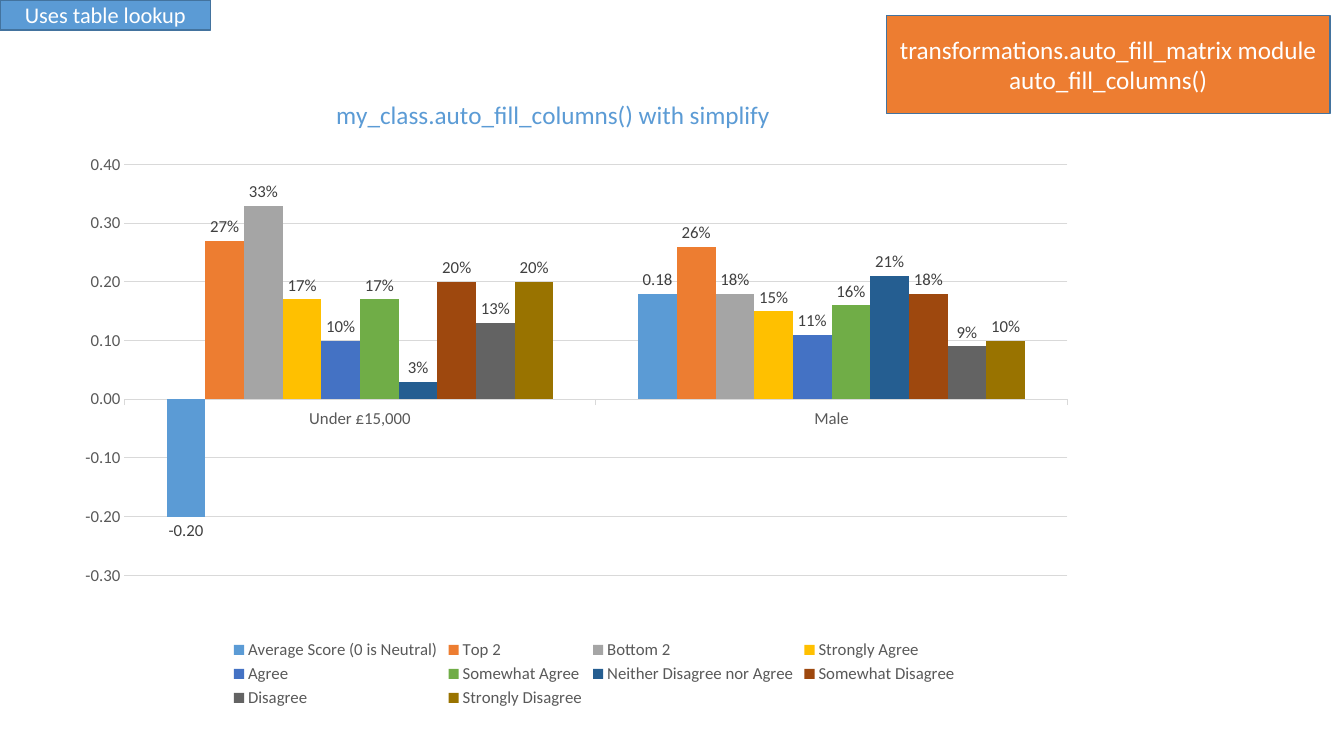
from dataclasses import dataclass

from lxml import etree
from pptx import Presentation
from pptx.chart.data import CategoryChartData
from pptx.dml.color import RGBColor
from pptx.enum.chart import (XL_AXIS_CROSSES, XL_CHART_TYPE, XL_LABEL_POSITION,
                             XL_LEGEND_POSITION, XL_TICK_MARK)
from pptx.enum.shapes import MSO_SHAPE
from pptx.enum.text import MSO_ANCHOR, PP_ALIGN
from pptx.oxml.ns import qn
from pptx.util import Pt

COLUMN = XL_CHART_TYPE.COLUMN_CLUSTERED
BOTTOM = XL_LEGEND_POSITION.BOTTOM
OUTSIDE = XL_LABEL_POSITION.OUTSIDE_END
RIGHT = XL_AXIS_CROSSES.MAXIMUM
NONE, OUT = XL_TICK_MARK.NONE, XL_TICK_MARK.OUTSIDE
RECT = MSO_SHAPE.RECTANGLE
CENTER, MIDDLE = PP_ALIGN.CENTER, MSO_ANCHOR.MIDDLE


@dataclass(frozen=True)
class Theme:
    """Colours, font and type sizes of the slide."""
    font: str = "Calibri"
    blue: str = "5B9BD5"
    orange: str = "ED7D31"
    edge: str = "43739E"
    white: str = "FFFFFF"
    grid: str = "D9D9D9"
    text: str = "595959"
    label: str = "404040"
    small: int = 12
    tag: int = 16
    large: int = 18


THEME = Theme()
GROUPS = ["Under £15,000", "Male"]
SCORES = [
    ("Average Score (0 is Neutral)", (-0.20, 0.18), "0.00", THEME.blue),
    ("Top 2", (0.27, 0.26), "0%", THEME.orange),
    ("Bottom 2", (0.33, 0.18), "0%", "A5A5A5"),
    ("Strongly Agree", (0.17, 0.15), "0%", "FFC000"),
    ("Agree", (0.10, 0.11), "0%", "4472C4"),
    ("Somewhat Agree", (0.17, 0.16), "0%", "70AD47"),
    ("Neither Disagree nor Agree", (0.03, 0.21), "0%", "255E91"),
    ("Somewhat Disagree", (0.20, 0.18), "0%", "9E480E"),
    ("Disagree", (0.13, 0.09), "0%", "636363"),
    ("Strongly Disagree", (0.20, 0.10), "0%", "997300"),
]


def style(font, size, color):
    """Set the face, size and colour of a font."""
    font.name, font.size, font.bold = THEME.font, Pt(size), False
    font.color.rgb = RGBColor.from_string(color)


def rule(line, color, width):
    """Set the colour and width of a line."""
    line.color.rgb = RGBColor.from_string(color)
    line.width = Pt(width)


def add_box(slide, text, box, fill, size):
    """Add a filled box with centred text."""
    shape = slide.shapes.add_shape(RECT, *map(Pt, box))
    shape.shadow.inherit = False
    shape.fill.solid()
    shape.fill.fore_color.rgb = RGBColor.from_string(fill)
    rule(shape.line, THEME.edge, 1)
    frame = shape.text_frame
    frame.text, frame.word_wrap = text, True
    frame.vertical_anchor = MIDDLE
    for para in frame.paragraphs:
        para.alignment = CENTER
        style(para.font, size, THEME.white)


def place(parent, **spots):
    """Give a chart part a manual layout in chart fractions."""
    layout = parent.find(qn("c:layout"))
    if layout is None:
        layout = etree.Element(qn("c:layout"))
        text = parent.find(qn("c:tx"))
        parent.insert(0 if text is None else parent.index(text) + 1, layout)
    manual = etree.SubElement(layout, qn("c:manualLayout"))
    for tag, value in spots.items():
        etree.SubElement(manual, qn(f"c:{tag}")).set("val", str(value))


def add_title(chart, text):
    """Add the chart title."""
    chart.has_title = True
    title = chart.chart_title
    title.include_in_layout = False
    title.text_frame.text = text
    style(title.text_frame.paragraphs[0].runs[0].font, THEME.large, THEME.blue)
    place(title._element, xMode="edge", yMode="edge", x=0.25, y=0.02)


def set_axes(chart):
    """Format the two axes, with the values on the right."""
    groups, values = chart.category_axis, chart.value_axis
    for axis in (groups, values):
        style(axis.tick_labels.font, THEME.small, THEME.text)
    groups.crosses = RIGHT
    groups.major_tick_mark = OUT
    rule(groups.format.line, THEME.grid, 0.75)
    values.minimum_scale, values.maximum_scale = -0.3, 0.4
    values.major_unit = 0.1
    values.major_tick_mark = NONE
    values.format.line.fill.background()
    values.tick_labels.number_format = "0.00"
    values.tick_labels.number_format_is_linked = False
    rule(values.major_gridlines.format.line, THEME.grid, 0.75)


def set_bars(plot):
    """Colour and label each series."""
    plot.gap_width, plot.overlap = 219, 0
    plot.vary_by_categories = False
    for bars, (_, _, form, color) in zip(plot.series, SCORES):
        bars.invert_if_negative = False
        bars.format.fill.solid()
        bars.format.fill.fore_color.rgb = RGBColor.from_string(color)
        labels = bars.data_labels
        labels.show_value = True
        labels.position = OUTSIDE
        labels.number_format = form
        labels.number_format_is_linked = False
        style(labels.font, THEME.small, THEME.label)


def add_scores(slide):
    """Add the column chart of scores."""
    data = CategoryChartData()
    data.categories = GROUPS
    for name, values, form, _ in SCORES:
        data.add_series(name, values, form)
    box = map(Pt, (49, 57, 751, 451.5))
    chart = slide.shapes.add_chart(COLUMN, *box, data).chart
    style(chart.font, THEME.small, THEME.text)
    add_title(chart, "my_class.auto_fill_columns() with simplify")
    set_axes(chart)
    set_bars(chart.plots[0])
    chart.has_legend = True
    chart.legend.position = BOTTOM
    chart.legend.include_in_layout = False
    style(chart.legend.font, THEME.small, THEME.text)
    area = chart._chartSpace.chart.plotArea
    place(area, layoutTarget="inner", xMode="edge", yMode="edge",
          x=0.053, y=0.134, w=0.897, h=0.65)


def main():
    """Build and save the slide."""
    deck = Presentation()
    deck.slide_width, deck.slide_height = Pt(960), Pt(540)
    slide = deck.slides.add_slide(deck.slide_layouts[6])
    add_scores(slide)
    add_box(slide, "transformations.auto_fill_matrix module\nauto_fill_columns()",
            (633, 11, 317, 70), THEME.orange, THEME.large)
    add_box(slide, "Uses table lookup", (0, 0, 150.5, 21.5), THEME.blue, THEME.tag)
    deck.save("out.pptx")


if __name__ == "__main__":
    main()
